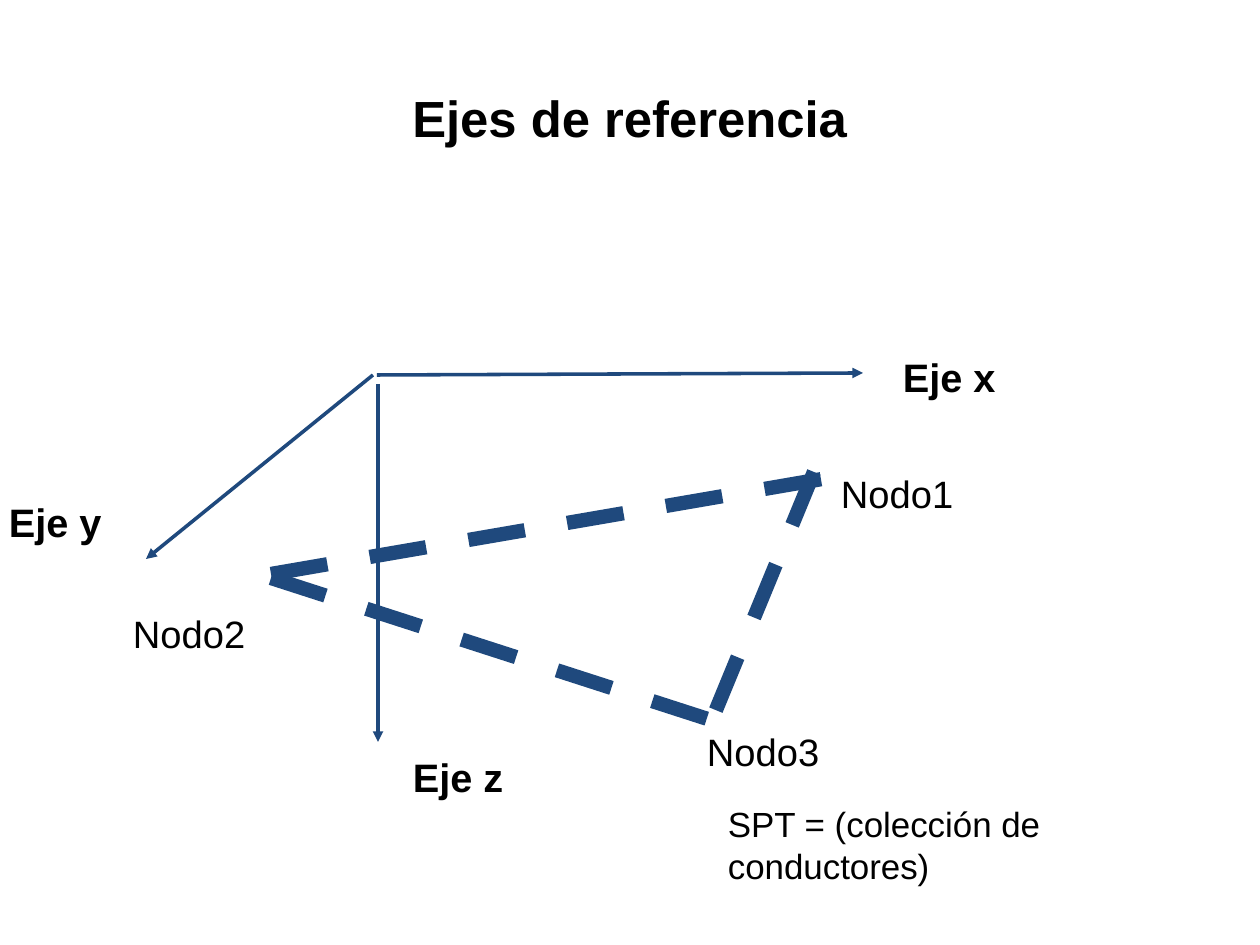
from pptx import Presentation
from pptx.dml.color import RGBColor
from pptx.enum.dml import MSO_LINE as Dash
from pptx.enum.shapes import MSO_CONNECTOR as Link
from pptx.enum.text import MSO_ANCHOR as Anchor, MSO_AUTO_SIZE as Fit, PP_ALIGN as Align
from pptx.oxml.ns import qn
from pptx.util import Pt
from lxml.etree import SubElement

NAVY = RGBColor(0x1F, 0x49, 0x7D)
BLACK = RGBColor(0, 0, 0)
FONT = "Arial"
SCALE = 8000  # EMU per px
INSET = 11

AXES = [
    ((377, 375), (863, 373)),
    ((373, 375), (146, 559)),
    ((378, 384), (378, 742)),
]
RODS = [
    ((271, 574), (863, 472)),
    ((814, 472), (711, 722)),
    ((271, 578), (717, 722)),
]
AXIS_TAGS = [("Eje x", 892, 342), ("Eje y", -2, 487), ("Eje z", 402, 742)]
NODE_TAGS = [("Nodo1", 830, 459), ("Nodo2", 122, 599), ("Nodo3", 696, 717)]


def px(*sizes):
    return [size * SCALE for size in sizes]


def style(frame, size, bold=False):
    for par in frame.paragraphs:
        for run in par.runs:
            font = run.font
            font.name, font.size, font.bold = FONT, Pt(size), bold
            font.color.rgb = BLACK


def inset(frame, gap):
    frame.margin_left = frame.margin_right = gap * SCALE
    frame.margin_top = frame.margin_bottom = gap * SCALE


def add_title(slide, text):
    title = slide.shapes.title
    title.left, title.top, title.width, title.height = px(63, 38, 1134, 158)
    frame = title.text_frame
    frame.text = text
    frame.auto_size = Fit.NONE
    frame.vertical_anchor = Anchor.MIDDLE
    frame.paragraphs[0].alignment = Align.CENTER
    inset(frame, 0)
    style(frame, 32, True)


def add_label(slide, text, box, size, bold=False):
    frame = slide.shapes.add_textbox(*px(*box)).text_frame
    frame.text = text
    frame.word_wrap = True
    frame.auto_size = Fit.SHAPE_TO_FIT_TEXT
    inset(frame, INSET)
    style(frame, size, bold)


def add_line(slide, start, end, width):
    link = slide.shapes.add_connector(Link.STRAIGHT, *px(*start, *end))
    link.line.color.rgb = NAVY
    link.line.width = Pt(width)
    SubElement(link._element.spPr, qn("a:effectLst"))
    return link.line


def add_axis(slide, start, end):
    line = add_line(slide, start, end, 2.25)
    SubElement(line._get_or_add_ln(), qn("a:tailEnd"), type="triangle")


def add_rod(slide, start, end):
    """Draw one conductor as a thick dashed line."""
    add_line(slide, start, end, 9).dash_style = Dash.DASH


def main():
    deck = Presentation()
    deck.slide_width, deck.slide_height = px(1260, 945)
    slide = deck.slides.add_slide(deck.slide_layouts[5])
    add_title(slide, "Ejes de referencia")
    for start, end in AXES:
        add_axis(slide, start, end)
    for start, end in RODS:
        add_rod(slide, start, end)
    for text, left, top in AXIS_TAGS:
        add_label(slide, text, (left, top, 144, 71), 25, True)
    for text, left, top in NODE_TAGS:
        add_label(slide, text, (left, top, 206, 69), 24)
    add_label(slide, "SPT = (colección de conductores)", (717, 792, 485, 106), 22)
    deck.save("out.pptx")


if __name__ == "__main__":
    main()
